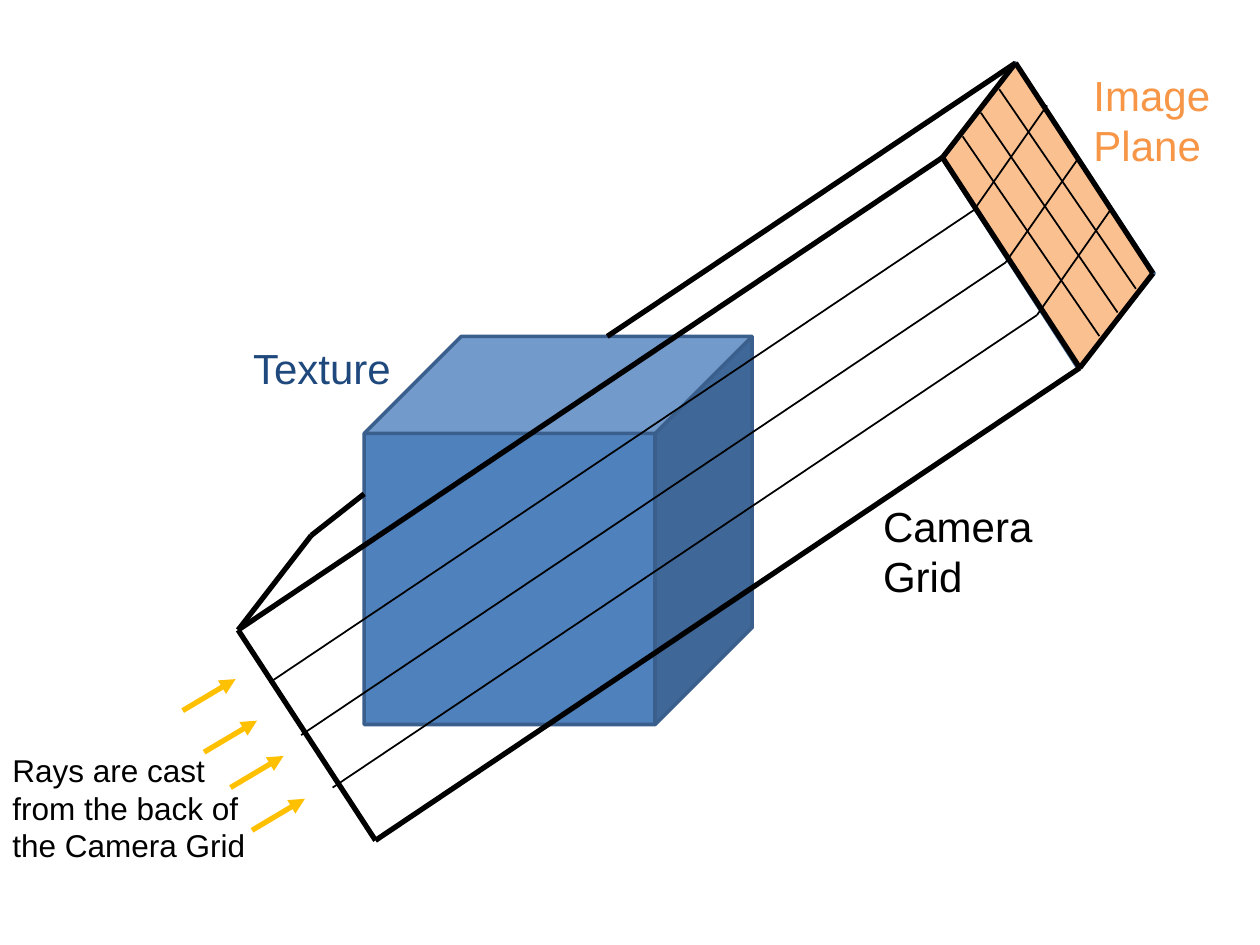
from dataclasses import dataclass

from lxml import etree
from pptx import Presentation
from pptx import util as u
from pptx.dml.color import RGBColor
from pptx.enum import shapes, text
from pptx.oxml import ns


@dataclass(frozen=True)
class Theme:
    font: str = "Arial"
    label_size: int = 24
    note_size: int = 18
    ink: str = "000000"
    texture: str = "4F81BD"
    outline: str = "3A5F8C"
    texture_label: str = "1F497D"
    plane: str = "FAC090"
    plane_label: str = "F79646"
    ray: str = "FFC000"
    heavy: float = 3
    medium: float = 2
    fine: float = 1


@dataclass(frozen=True)
class Box:
    left: float
    top: float
    width: float
    height: float

    def point(self, x, y):
        return self.left + x, self.top + y


THEME = Theme()
COLUMNS = 100
deck = Presentation()
deck.slide_width, deck.slide_height = u.Inches(10), u.Inches(7.5)
CELL = deck.slide_width / COLUMNS


def cells(*values):
    return [u.Emu(round(value * CELL)) for value in values]


def shift(point, vector, times=1):
    return point[0] + vector[0] * times, point[1] + vector[1] * times


def style_shape(shape, fill):
    shape.shadow.inherit = False
    shape.fill.solid()
    shape.fill.fore_color.rgb = RGBColor.from_string(fill)
    shape.line.color.rgb = RGBColor.from_string(THEME.outline)
    shape.line.width = u.Pt(THEME.medium)


def add_line(page, start, end, width, color=THEME.ink, arrow=False):
    line = page.shapes.add_connector(
        shapes.MSO_CONNECTOR.STRAIGHT, *cells(*start, *end))
    line.line.color.rgb = RGBColor.from_string(color)
    line.line.width = u.Pt(width)
    properties = line._element.spPr
    etree.SubElement(properties, ns.qn("a:effectLst"))
    if arrow:
        outline = properties.find(ns.qn("a:ln"))
        etree.SubElement(outline, ns.qn("a:tailEnd"), type="triangle")


def add_label(page, box, lines, size, color, wrap=True):
    label = page.shapes.add_textbox(
        *cells(box.left, box.top, box.width, box.height))
    frame = label.text_frame
    frame.word_wrap = wrap
    frame.auto_size = text.MSO_AUTO_SIZE.SHAPE_TO_FIT_TEXT
    for index, words in enumerate(lines):
        para = frame.add_paragraph() if index else frame.paragraphs[0]
        span = para.add_run()
        span.text = words
        span.font.name = THEME.font
        span.font.size = u.Pt(size)
        span.font.color.rgb = RGBColor.from_string(color)


def draw_plane(page, box):
    corners = [box.point(*corner) for corner in (
        (5.8, 0), (0, 7.6), (10.8, 24.3), (16.8, 16.7))]
    builder = page.shapes.build_freeform(*cells(*corners[0]), scale=1.0)
    builder.add_line_segments([cells(*corner) for corner in corners[1:]])
    style_shape(builder.convert_to_shape(), THEME.plane)


def draw_texture(page, box):
    cube = page.shapes.add_shape(
        shapes.MSO_SHAPE.CUBE,
        *cells(box.left, box.top, box.width, box.height))
    style_shape(cube, THEME.texture)


def draw_camera_grid(page, box):
    ray, edge, depth = (55.9, -37.5), (10.9, 16.7), (5.8, -7.5)
    back_top = box.point(0, 45)
    back_bottom = shift(back_top, edge)
    back_far = shift(back_top, depth)
    front_top = shift(back_top, ray)
    front_bottom = shift(back_bottom, ray)
    far_top = shift(front_top, depth)
    far_bottom = shift(front_bottom, depth)
    for start, end in (
        (back_bottom, back_top),
        (back_bottom, front_bottom),
        (back_top, front_top),
        (front_bottom, front_top),
        (far_top, front_top),
        (far_bottom, front_bottom),
        (far_bottom, far_top),
        (back_far, back_top),
        (box.point(29.3, 21.7), far_top),
        (back_far, box.point(10, 34.2)),
    ):
        add_line(page, start, end, THEME.heavy)

    row, across, along = (2.5, 4.17), (5.8, -8.3), (10.85, 15.85)
    for index in (1, 2, 3):
        ray_start = shift(back_top, row, index)
        row_start = shift(front_top, row, index)
        column_start = shift(shift(front_top, (0.15, 0.2)), depth, index / 4)
        for start, vector in (
            (ray_start, ray), (row_start, across), (column_start, along),
        ):
            add_line(page, start, shift(start, vector), THEME.fine)


def draw_rays(page, box):
    for start in ((0, 2.5), (1.7, 5.8), (3.8, 8.6), (5.5, 12)):
        tail = box.point(*start)
        add_line(page, tail, shift(tail, (4.2, -2.5)),
                 THEME.heavy, THEME.ray, arrow=True)


def draw_labels(page, box):
    for x, y, height, words, color in (
        (19.1, 26.7, 5, "Texture", THEME.texture_label),
        (69.1, 39.2, 9.1, "Camera Grid", THEME.ink),
        (85.8, 5, 9.1, "Image Plane", THEME.plane_label),
    ):
        place = Box(*box.point(x, y), 15.8, height)
        add_label(page, place, [words], THEME.label_size, color)


page = deck.slides.add_slide(deck.slide_layouts[6])
draw_plane(page, Box(74.8, 5, 16.8, 24.3))
draw_texture(page, Box(28.9, 26.7, 30.8, 30.8))
draw_camera_grid(page, Box(18.9, 5, 72.5, 61.7))
draw_labels(page, Box(0, 0, 100, 75))
draw_rays(page, Box(14.5, 53.9, 9.6, 12))
add_label(page, Box(0, 59.1, 20.8, 10.1),
          ["Rays are cast ", "from the back of ", "the Camera Grid"],
          THEME.note_size, THEME.ink, wrap=False)
deck.save("out.pptx")
